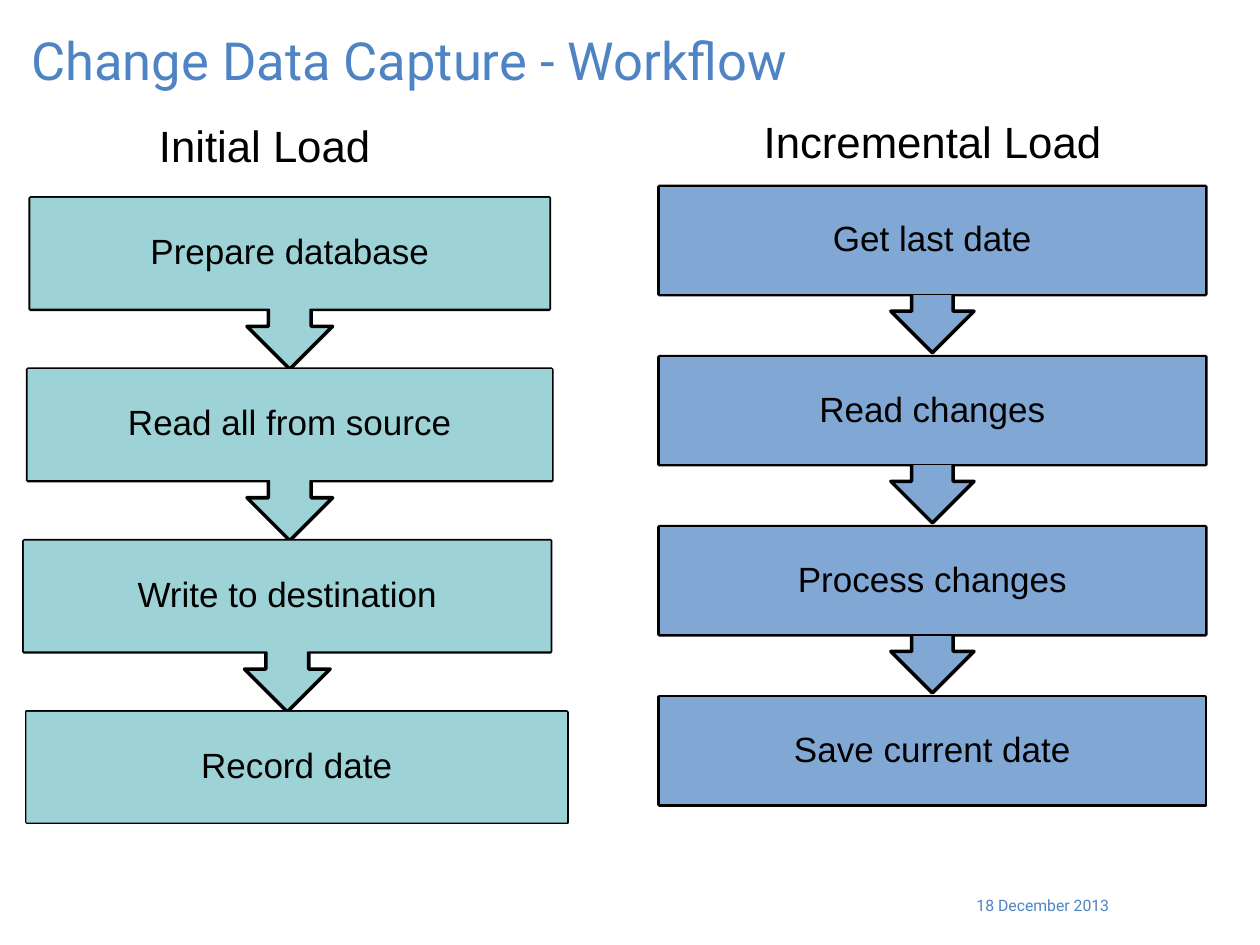
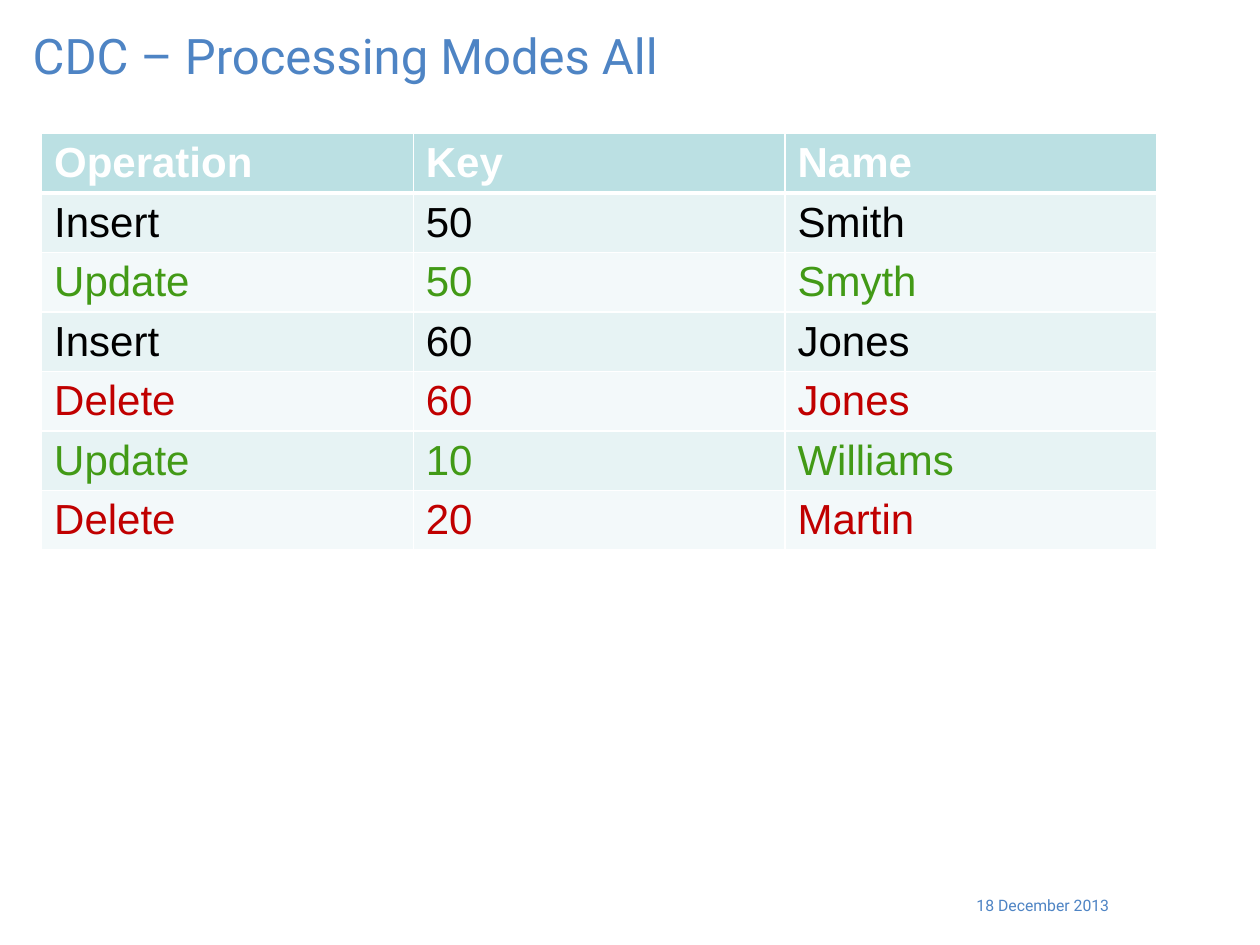
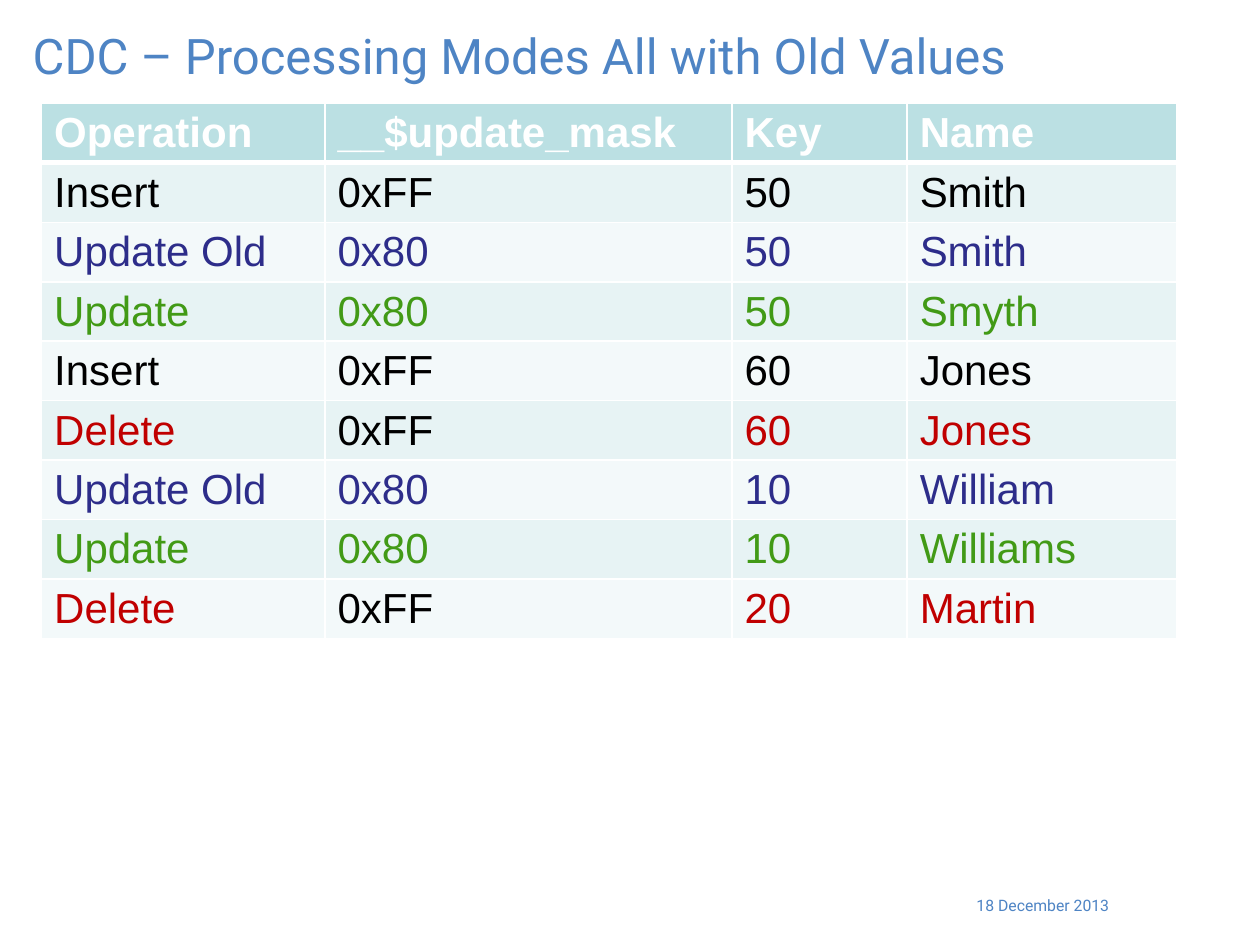
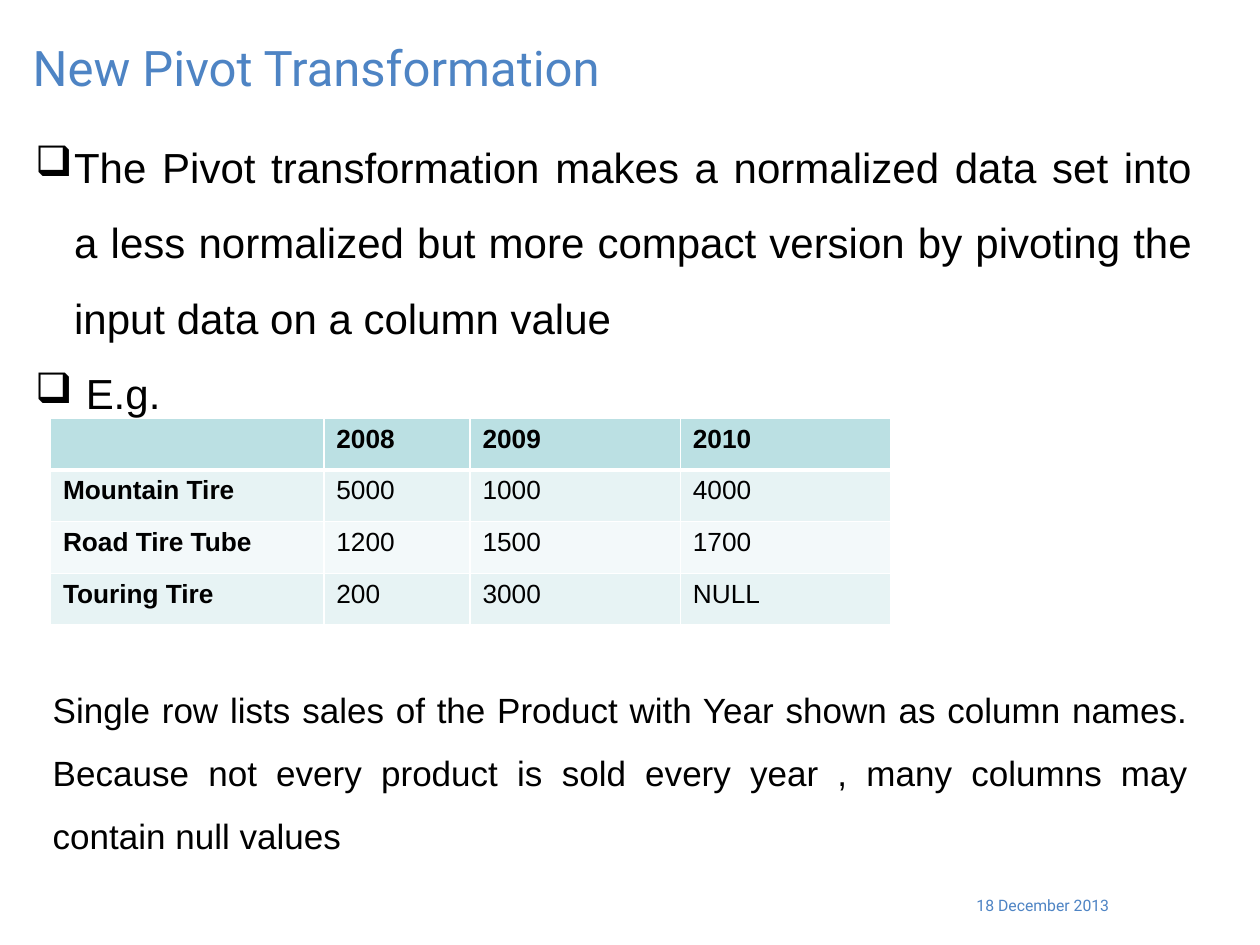
"""Build four slides on change data capture and the pivot transformation."""
from lxml import etree
from pptx import Presentation
from pptx import util as u
from pptx.dml.color import RGBColor
from pptx.enum import shapes, text
from pptx.oxml import ns

PX = u.Inches(1) // 100
BODY_FONT, HEAD_FONT = "Arial", "Roboto"
COLORS = {
    "title": "4E84C4", "text": "000000", "white": "FFFFFF",
    "initial": "9DD2D6", "incremental": "81A7D5",
    "header": "BBE0E3", "odd": "E7F3F4", "even": "F3F9FA",
    "update": "429A16", "old": "2D2D8A", "delete": "C00000",
}
OPERATION_COLORS = {"Insert": "text", "Update": "update",
                    "Update Old": "old", "Delete": "delete"}
ROW_HEIGHT = 41
ALIGN = text.PP_ALIGN


def scale(*lengths):
    """Turn px lengths into EMU."""
    return [length * PX for length in lengths]


def rgb(name):
    """Return the named colour."""
    return RGBColor.from_string(COLORS[name])


def add_run(paragraph, words, size, color="text", font=BODY_FONT, bold=False):
    """Add one formatted run to a paragraph."""
    run = paragraph.add_run()
    run.text = words
    run.font.name, run.font.size, run.font.bold = font, u.Pt(size), bold
    run.font.color.rgb = rgb(color)


def set_frame(frame, anchor=text.MSO_ANCHOR.TOP, inset=None):
    """Wrap a text frame and set its anchor and insets."""
    frame.word_wrap = True
    frame.auto_size = text.MSO_AUTO_SIZE.NONE
    frame.vertical_anchor = anchor
    across, down = (inset, inset) if inset is not None else (10, 5)
    frame.margin_left = frame.margin_right = across * PX
    frame.margin_top = frame.margin_bottom = down * PX


def add_text(slide, box, words, size, align, spacing=1.0, **style):
    """Add a text box with one paragraph and return its frame."""
    frame = slide.shapes.add_textbox(*scale(*box)).text_frame
    set_frame(frame)
    add_paragraph(frame.paragraphs[0], words, size, align, spacing, **style)
    return frame


def add_paragraph(paragraph, words, size, align, spacing=1.0, **style):
    """Fill a paragraph with one run."""
    paragraph.alignment, paragraph.line_spacing = align, spacing
    add_run(paragraph, words, size, **style)


def add_slide(presentation, title, box, size=28):
    """Add a slide with its title and the date in the footer."""
    slide = presentation.slides.add_slide(presentation.slide_layouts[5])
    shape = slide.shapes.title
    shape.left, shape.top, shape.width, shape.height = scale(*box)
    set_frame(shape.text_frame)
    add_paragraph(shape.text_frame.paragraphs[0], title, size, ALIGN.LEFT,
                  color="title", font=HEAD_FONT)
    add_text(slide, (735, 706, 155, 35), "18 December 2013", 9, ALIGN.RIGHT,
             color="title", font=HEAD_FONT)
    return slide


def add_block(group, kind, box, fill, line_width):
    """Add a filled shape with a black outline, or none at width zero."""
    shape = group.shapes.add_shape(kind, *scale(*box))
    shape.shadow.inherit = False
    shape.fill.solid()
    shape.fill.fore_color.rgb = rgb(fill)
    if line_width:
        shape.line.color.rgb = rgb("text")
        shape.line.width = u.Pt(line_width)
    else:
        shape.line.fill.background()
    return shape


def add_step(slide, box, words, fill, arrow_height, label_line):
    """Add one workflow step, with a down arrow when it has a height."""
    left, top, width, height = box
    group = slide.shapes.add_group_shape()
    if arrow_height:
        outline = add_block(group, shapes.MSO_SHAPE.UP_ARROW_CALLOUT,
                            (left, top, width, arrow_height), fill, 2)
        outline.rotation = 180
        for index, value in enumerate((0.25, 0.25, 0.25, 0.65)):
            outline.adjustments[index] = value
    else:
        add_block(group, shapes.MSO_SHAPE.RECTANGLE, box, fill, 2)
    label = add_block(group, shapes.MSO_SHAPE.RECTANGLE, box, fill, label_line)
    set_frame(label.text_frame, text.MSO_ANCHOR.MIDDLE, 21)
    add_paragraph(label.text_frame.paragraphs[0], words, 20, ALIGN.CENTER, 0.9)


def add_flow(slide, heading, heading_box, steps, fill, top, pitch, height,
             arrow_height, label_line):
    """Add a headed column of steps given as words, left and width."""
    for index, (words, left, width) in enumerate(steps):
        is_last = index == len(steps) - 1
        add_step(slide, (left, top + index * pitch, width, height), words,
                 fill, 0 if is_last else arrow_height, label_line)
    add_text(slide, heading_box, heading, 25, ALIGN.CENTER)


def set_borders(cell, top, bottom):
    """Give a cell white borders; widths in points."""
    properties = cell._tc.get_or_add_tcPr()
    for side, width in (("L", 1), ("R", 1), ("T", top), ("B", bottom)):
        line = etree.SubElement(properties, ns.qn(f"a:ln{side}"),
                                w=str(u.Pt(width)))
        fill = etree.SubElement(line, ns.qn("a:solidFill"))
        etree.SubElement(fill, ns.qn("a:srgbClr"), val=COLORS["white"])


def add_table(slide, left, top, widths, rows, size, style):
    """Add a banded table; style gives colour and bold for a cell."""
    frame = slide.shapes.add_table(
        len(rows), len(widths),
        *scale(left, top, sum(widths), ROW_HEIGHT * len(rows)))
    table = frame.table
    table.horz_banding = False
    for column, width in zip(table.columns, widths):
        column.width = width * PX
    for row, values in enumerate(rows):
        table.rows[row].height = ROW_HEIGHT * PX
        band = "header" if row == 0 else "odd" if row % 2 else "even"
        for column, value in enumerate(values):
            cell = table.cell(row, column)
            set_borders(cell, 3 if row == 1 else 1, 3 if row == 0 else 1)
            cell.fill.solid()
            cell.fill.fore_color.rgb = rgb(band)
            if value:
                color, bold = style(row, column, values)
                add_run(cell.text_frame.paragraphs[0], value, size, color,
                        bold=bold)
    return table


def change_style(row, column, values):
    """Colour a change row by its operation."""
    if row == 0:
        return "white", True
    if values[0] == "Delete" and values[column] == "0xFF":
        return "text", False
    return OPERATION_COLORS[values[0]], False


def pivot_style(row, column, values):
    """Make the header row and first column bold."""
    return "text", row == 0 or column == 0


def add_bullet(paragraph):
    """Give a paragraph a hanging box bullet."""
    properties = paragraph._p.get_or_add_pPr()
    properties.set("marL", str(31 * PX))
    properties.set("indent", str(-31 * PX))
    color = etree.SubElement(properties, ns.qn("a:buClr"))
    etree.SubElement(color, ns.qn("a:srgbClr"), val=COLORS["text"])
    etree.SubElement(properties, ns.qn("a:buChar"), char="❑")


def build_workflow(presentation):
    """Show the initial and incremental loads side by side."""
    slide = add_slide(presentation, "Change Data Capture - Workflow",
                      (15, 17, 867, 67), 30)
    initial = [("Prepare database", 24, 412), ("Read all from source", 22, 416),
               ("Write to destination", 19, 418), ("Record date", 21, 429)]
    add_flow(slide, "Initial Load", (24, 89, 372, 52), initial, "initial",
             top=157, pitch=136, height=88, arrow_height=136, label_line=0)
    incremental = [(words, 523, 434) for words in (
        "Get last date", "Read changes", "Process changes",
        "Save current date")]
    add_flow(slide, "Incremental Load", (554, 86, 372, 52), incremental,
             "incremental", top=148, pitch=135, height=86, arrow_height=132,
             label_line=0.75)


def build_changes(presentation, title, top, widths, rows):
    """Show a table of captured changes."""
    slide = add_slide(presentation, title, (16, 15, 965, 67))
    return add_table(slide, 33, top, widths, rows, 24, change_style)


def build_pivot(presentation):
    """Explain the pivot transformation with an example table."""
    slide = add_slide(presentation, "New Pivot Transformation",
                      (16, 25, 965, 67))
    frame = add_text(
        slide, (18, 87, 938, 252),
        "The Pivot transformation makes a normalized data set into a less "
        "normalized but more compact version by pivoting the input data on "
        "a column value", 24, ALIGN.JUSTIFY, 1.5)
    add_paragraph(frame.add_paragraph(), " E.g.", 24, ALIGN.JUSTIFY, 1.5)
    for paragraph in frame.paragraphs:
        add_bullet(paragraph)
    rows = [("", "2008", "2009", "2010"),
            ("Mountain Tire", "5000", "1000", "4000"),
            ("Road Tire Tube", "1200", "1500", "1700"),
            ("Touring Tire", "200", "3000", "NULL")]
    add_table(slide, 40, 332, (217, 116, 167, 167), rows, 15, pivot_style)
    add_text(
        slide, (32, 525, 921, 161),
        "Single row lists sales of the Product with Year shown as column "
        "names. Because not every product is sold every year , many columns "
        "may contain null values", 20, ALIGN.JUSTIFY, 1.5)


def main():
    """Build and save the presentation."""
    presentation = Presentation()
    presentation.slide_width, presentation.slide_height = scale(1000, 750)
    build_workflow(presentation)
    build_changes(
        presentation, "CDC – Processing Modes All", 106, (295,) * 3,
        [("Operation", "Key", "Name"),
         ("Insert", "50", "Smith"),
         ("Update", "50", "Smyth"),
         ("Insert", "60", "Jones"),
         ("Delete", "60", "Jones"),
         ("Update", "10", "Williams"),
         ("Delete", "20", "Martin")])
    masked = build_changes(
        presentation, "CDC – Processing Modes All with Old Values", 82,
        (225, 323, 139, 214),
        [("Operation", "__$update_mask", "Key", "Name"),
         ("Insert", "0xFF", "50", "Smith"),
         ("Update Old", "0x80", "50", "Smith"),
         ("Update", "0x80", "50", "Smyth"),
         ("Insert", "0xFF", "60", "Jones"),
         ("Delete", "0xFF", "60", "Jones"),
         ("Update Old", "0x80", "10", "William"),
         ("Update", "0x80", "10", "Williams"),
         ("Delete", "0xFF", "20", "Martin")])
    masked.cell(0, 1).vertical_anchor = text.MSO_ANCHOR.MIDDLE
    build_pivot(presentation)
    presentation.save("out.pptx")


if __name__ == "__main__":
    main()
